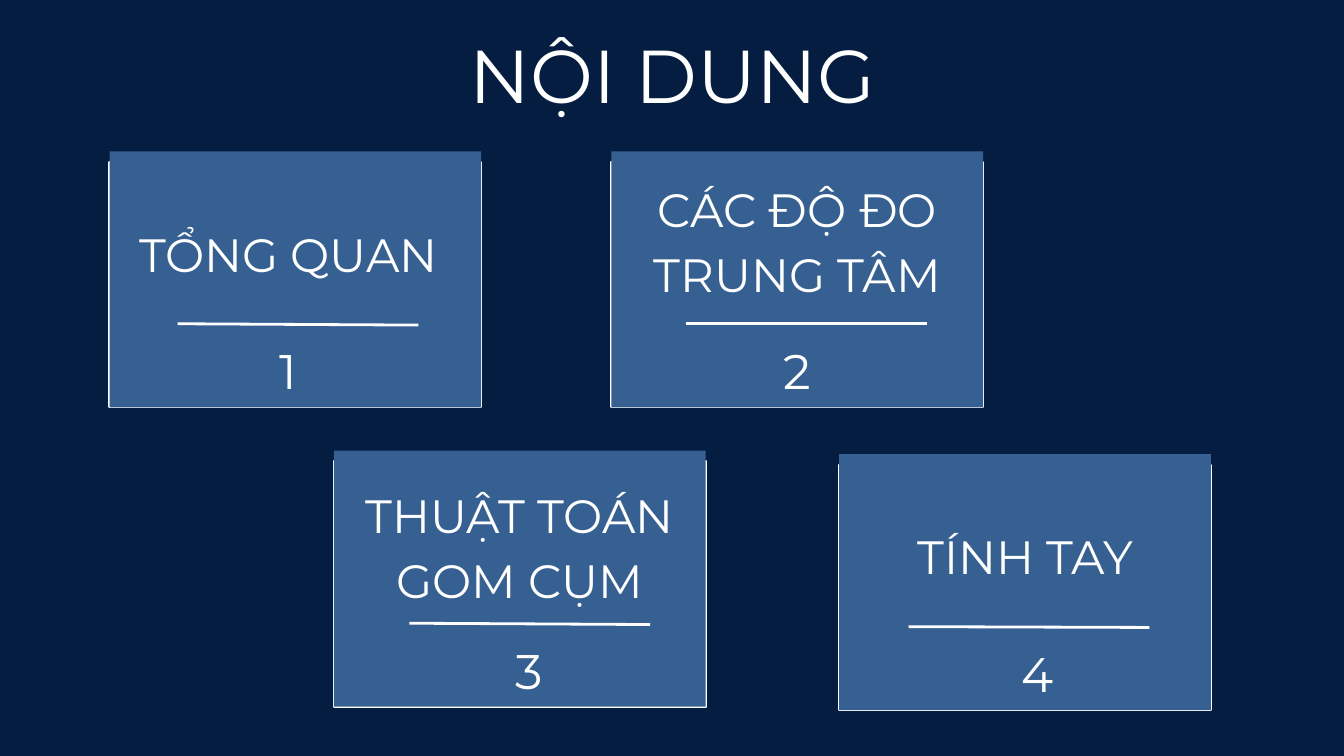
"""Build the contents slide with four numbered topic cards."""
from lxml import etree
from pptx import Presentation
from pptx.dml.color import RGBColor
from pptx.enum.shapes import MSO_CONNECTOR, MSO_SHAPE
from pptx.enum.text import MSO_ANCHOR, MSO_AUTO_SIZE, PP_ALIGN
from pptx.oxml.ns import qn
from pptx.util import Cm, Pt

RECTANGLE = MSO_SHAPE.RECTANGLE
STRAIGHT = MSO_CONNECTOR.STRAIGHT
TOP = MSO_ANCHOR.TOP
GROW = MSO_AUTO_SIZE.SHAPE_TO_FIT_TEXT
CENTER = PP_ALIGN.CENTER

TITLE = "NỘI DUNG"
CARDS = [
    {"heading": "TỔNG QUAN", "number": "1", "at": (4.14, 5.72), "spacing": 70,
     "heading_box": (5.05, 8.18, 11.71, 2.36), "number_x": (10.57, 0.69),
     "rule_x": 6.71, "rule_drop": 0.05},
    {"heading": "CÁC ĐỘ ĐO TRUNG TÂM", "number": "2", "at": (23.11, 5.72), "spacing": 70,
     "heading_box": (23.19, 6.48, 13.89, 4.83), "number_x": (29.62, 1.04),
     "rule_x": 25.93, "rule_drop": 0},
    {"heading": "THUẬT TOÁN GOM CỤM", "number": "3", "at": (12.62, 17.04), "spacing": 70,
     "heading_box": (12.7, 18.06, 13.89, 4.8), "number_x": (19.48, 1.04),
     "rule_x": 15.47, "rule_drop": 0.05},
    {"heading": "TÍNH TAY", "number": "4", "at": (31.72, 17.17), "spacing": 77,
     "heading_box": (31.85, 19.35, 13.79, 2.49), "number_x": (38.61, 1.22),
     "rule_x": 34.34, "rule_drop": 0.03},
]
COLORS = {"background": "051D40", "card": "376092", "light": "FFFFFF"}
FONT = "Montserrat"
CARD_W, CARD_H = 14.05, 9.68
FRAME_INSET = 0.4
RULE_Y, RULE_W = 6.52, 9.1
NUMBER_Y, NUMBER_H = 6.82, 2.44


def color(name):
    return RGBColor.from_string(COLORS[name])


def write(sp, text, size, spacing):
    tf = sp.text_frame
    tf.margin_left = tf.margin_right = tf.margin_top = tf.margin_bottom = 0
    tf.word_wrap = True
    tf.auto_size = GROW
    tf.vertical_anchor = TOP
    p = tf.paragraphs[0]
    p.alignment = CENTER
    p.line_spacing = Pt(spacing)
    r = p.add_run()
    r.text = text
    r.font.name = FONT
    r.font.size = Pt(size)
    r.font.color.rgb = color("light")


def add_text(s, box, text, size, spacing):
    write(s.shapes.add_textbox(*map(Cm, box)), text, size, spacing)


def add_panel(group, x, y, height, outlined):
    sp = group.shapes.add_shape(RECTANGLE, Cm(x), Cm(y), Cm(CARD_W), Cm(height))
    sp.shadow.inherit = False
    sp.fill.solid()
    sp.fill.fore_color.rgb = color("card")
    if outlined:
        sp.line.color.rgb = color("light")
        sp.line.width = Pt(2.25)
    else:
        sp.line.fill.background()


def add_rule(s, x, y, drop):
    line = s.shapes.add_connector(STRAIGHT, Cm(x), Cm(y), Cm(x + RULE_W), Cm(y + drop))
    line.line.color.rgb = color("light")
    line.line.width = Pt(3)
    etree.SubElement(line._element.spPr, qn("a:effectLst"))


def add_card(s, card):
    x, y = card["at"]
    group = s.shapes.add_group_shape()
    add_panel(group, x, y + FRAME_INSET, CARD_H - FRAME_INSET, True)
    add_panel(group, x, y, CARD_H, False)
    add_rule(s, card["rule_x"], y + RULE_Y, card["rule_drop"])
    add_text(s, card["heading_box"], card["heading"], 50, card["spacing"])
    left, width = card["number_x"]
    add_text(s, (left, y + NUMBER_Y, width, NUMBER_H), card["number"], 52, 72.8)


def main():
    prs = Presentation()
    prs.slide_width, prs.slide_height = Cm(50.8), Cm(28.58)
    s = prs.slides.add_slide(prs.slide_layouts[5])
    s.background.fill.solid()
    s.background.fill.fore_color.rgb = color("background")
    title = s.shapes.title
    title.left, title.top, title.width, title.height = map(Cm, (13.69, 1.09, 23.44, 3.43))
    write(title, TITLE, 80.2, 96.2)
    for card in CARDS:
        add_card(s, card)
    prs.save("out.pptx")


if __name__ == "__main__":
    main()
